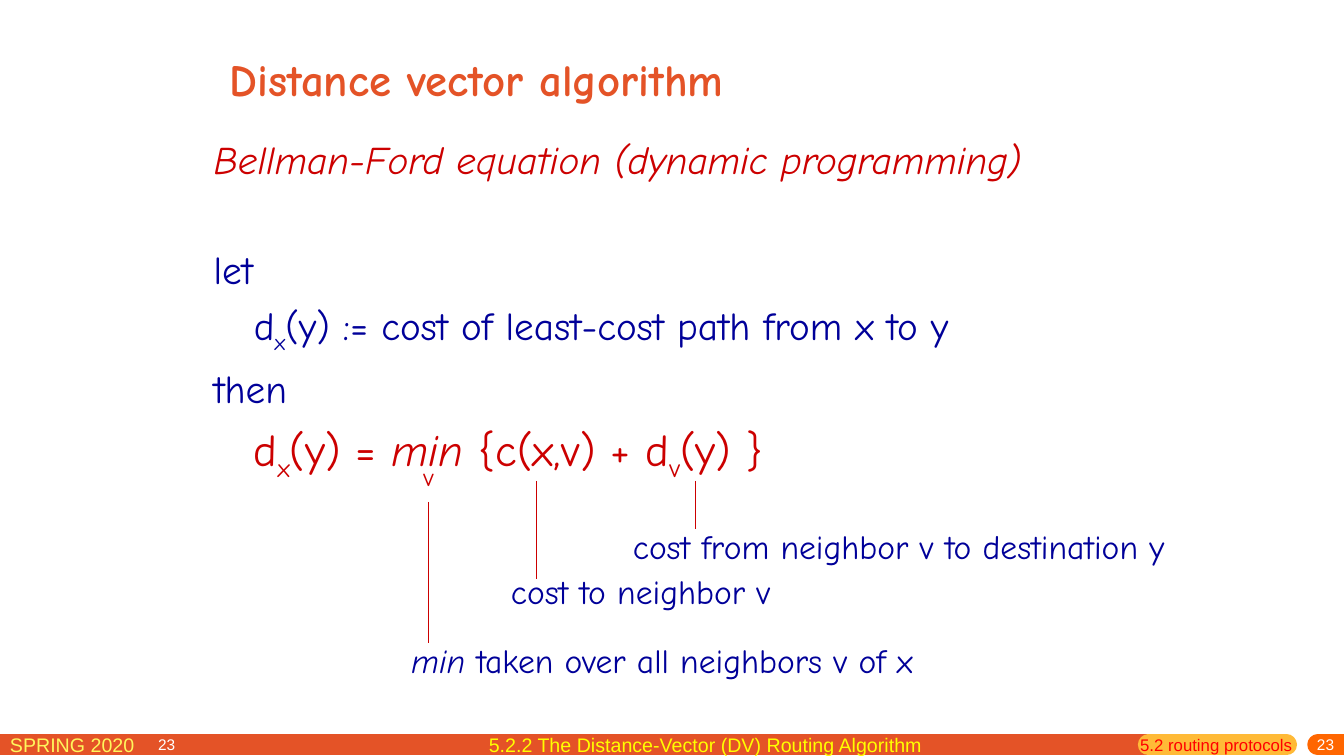
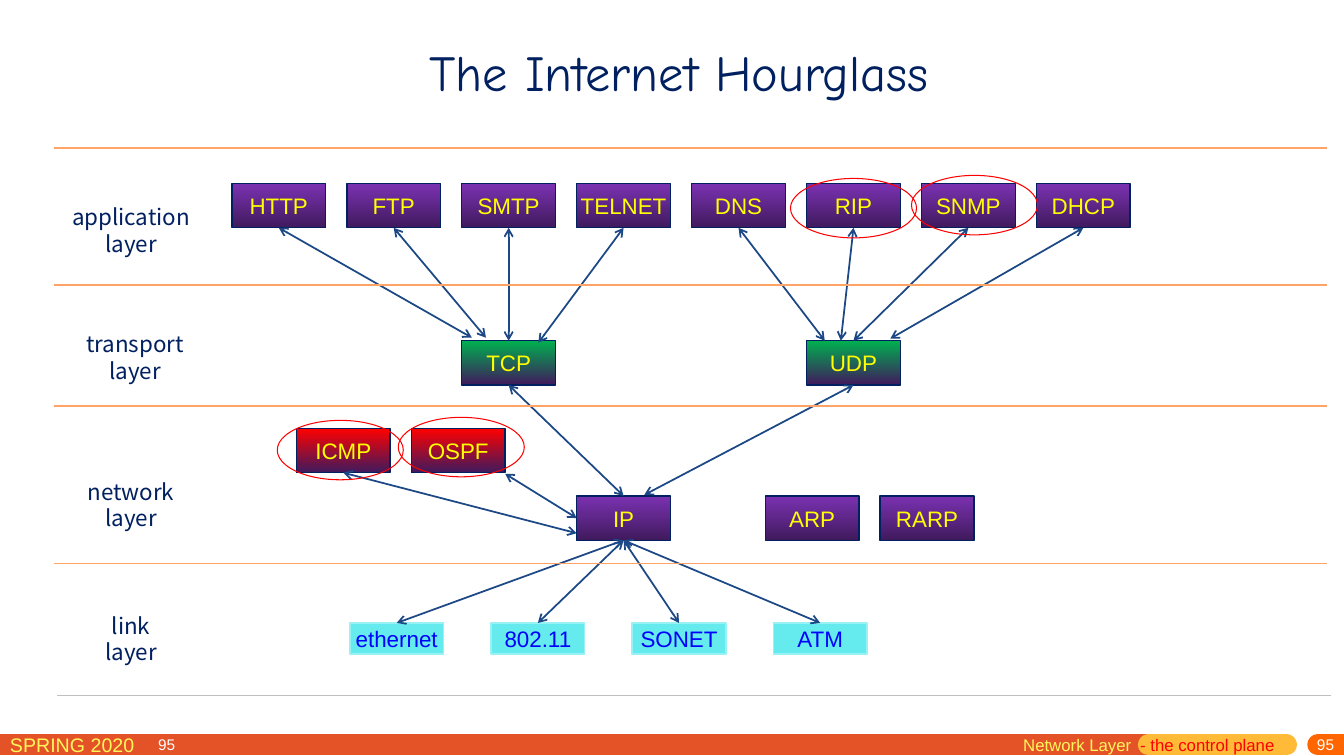
from dataclasses import dataclass, field
from typing import NamedTuple, Optional, Union

from lxml import etree
from pptx import Presentation
from pptx.dml.color import RGBColor
from pptx.enum.shapes import MSO_CONNECTOR as CONN, MSO_SHAPE as SHAPE
from pptx.enum.text import MSO_ANCHOR as ANCHOR, PP_ALIGN as ALIGN
from pptx.oxml.ns import qn
from pptx.util import Inches, Pt

COLORS = {
    "band": "E45327", "pill": "FFBA37", "number_pill": "FF6600",
    "term": "FFF65C", "yellow": "FFFF00", "white": "FFFFFF",
    "red": "FF0000", "crimson": "CC0000", "blue": "000099", "navy": "002060",
    "purple": "7B32B2", "green": "00B050", "dark": "401A5D",
    "arrow": "1C4885", "divider": "FFA366", "grey": "BFBFBF",
    "cyan": "65EAEE", "cyan_edge": "98F1F4", "link_text": "0000FF",
}
SANS, COMIC, NOTO = "Arial", "Comic Neue", "Noto Sans CJK SC"
TOP, LEFT, BOTTOM = 0, 1, 2
BOX_W, BOX_H, LINK_H = 0.93, 0.44, 0.31
COL_X, COL_STEP = 2.3, 1.14


class Run(NamedTuple):
    text: str
    fmt: dict = {}
    subscript: bool = False


@dataclass
class Para:
    runs: list[Run]
    before: float = 0
    indent: float = 0


@dataclass
class Label:
    """A text box; fmt holds the font values its runs start from."""
    at: tuple[float, float, float, float]
    text: Union[str, list[Para]]
    fmt: dict
    align: ALIGN = ALIGN.LEFT
    frame: dict = field(default_factory=dict)


@dataclass
class Box:
    name: str
    x: float
    y: float
    fill: str
    is_link: bool = False


class Site(NamedTuple):
    box: str
    side: int


class Point(NamedTuple):
    x: float
    y: float


def rgb(name: str) -> RGBColor:
    return RGBColor.from_string(COLORS[name])


def font(size: float, color: str, name: str = COMIC, **extra) -> dict:
    return {"size": Pt(size), "name": name, "color": color, **extra}


def set_font(r, fmt: dict) -> None:
    for key, value in fmt.items():
        if key == "color":
            r.font.color.rgb = rgb(value)
        else:
            setattr(r.font, key, value)


def fill_text(tf, text: Union[str, list[Para]], fmt: dict, align: ALIGN) -> None:
    if isinstance(text, str):
        text = [Para([Run(line)]) for line in text.split("\n")]
    for i, para in enumerate(text):
        p = tf.add_paragraph() if i else tf.paragraphs[0]
        p.alignment = align
        if para.before:
            p.space_before = Pt(para.before)
        if para.indent:
            p._p.get_or_add_pPr().set("marL", str(Inches(para.indent)))
        for run in para.runs:
            r = p.add_run()
            r.text = run.text
            set_font(r, {**fmt, **run.fmt})
            if run.subscript:
                r._r.get_or_add_rPr().set("baseline", "-25000")


def add_label(s, label: Label) -> None:
    tf = s.shapes.add_textbox(*map(Inches, label.at)).text_frame
    for key, value in {"word_wrap": True, **label.frame}.items():
        setattr(tf, key, value)
    fill_text(tf, label.text, label.fmt, label.align)


def add_line(s, start: Point, end: Point, color: str, width: float,
             round_cap: bool = False, arrows: bool = False):
    c = s.shapes.add_connector(CONN.STRAIGHT, *map(Inches, (*start, *end)))
    c.line.color.rgb = rgb(color)
    c.line.width = Pt(width)
    sp_pr = c._element.spPr
    ln = sp_pr.find(qn("a:ln"))
    if round_cap:
        ln.set("cap", "rnd")
    if arrows:
        for tag in ("a:headEnd", "a:tailEnd"):
            etree.SubElement(ln, qn(tag)).set("type", "arrow")
    etree.SubElement(sp_pr, qn("a:effectLst"))
    return c


def add_arrow(s, boxes: dict, start: Union[Site, Point], end: Union[Site, Point]) -> None:
    """Draw a two-headed arrow, joined to a box wherever an end is a Site."""
    ends = [e if isinstance(e, Point) else Point(0, 0) for e in (start, end)]
    c = add_line(s, *ends, "arrow", 1.25, arrows=True)
    for e, connect in ((start, c.begin_connect), (end, c.end_connect)):
        if isinstance(e, Site):
            connect(boxes[e.box], e.side)


def add_box(s, box: Box):
    sp = s.shapes.add_shape(SHAPE.RECTANGLE, Inches(box.x), Inches(box.y),
                            Inches(BOX_W), Inches(LINK_H if box.is_link else BOX_H))
    sp.shadow.inherit = False
    if box.is_link:
        sp.fill.solid()
        sp.fill.fore_color.rgb = rgb(box.fill)
    else:
        sp.fill.gradient()
        sp.fill.gradient_angle = 270
        for stop, color in zip(sp.fill.gradient_stops, (box.fill, "dark")):
            stop.color.rgb = rgb(color)
    sp.line.color.rgb = rgb("cyan_edge" if box.is_link else "navy")
    sp.line.width = Pt(1)
    tf = sp.text_frame
    tf.vertical_anchor = ANCHOR.MIDDLE
    for side in ("left", "top", "right", "bottom"):
        setattr(tf, f"margin_{side}", 0)
    color = "link_text" if box.is_link else "yellow"
    fill_text(tf, box.name, font(16, color, SANS), ALIGN.CENTER)
    return sp


def add_ring(s, x: float, y: float) -> None:
    sp = s.shapes.add_shape(SHAPE.OVAL, *map(Inches, (x, y, 1.25, 0.59)))
    sp.shadow.inherit = False
    sp.fill.background()
    sp.line.color.rgb = rgb("red")
    sp.line.width = Pt(0.75)


def new_slide(prs, number: int, section: str):
    """Add a slide with the footer band, term, page numbers and section."""
    s = prs.slides.add_slide(prs.slide_layouts[6])
    for x1, x2, color in ((0, 11.39, "band"), (11.39, 12.76, "pill"),
                          (13.07, 13.33, "number_pill")):
        add_line(s, Point(x1, 7.39), Point(x2, 7.39), color, 15,
                 round_cap=color != "band")
    add_label(s, Label((0, 7.22, 2.29, 0.31), "SPRING 2020", font(14, "term", SANS)))
    frame = {"vertical_anchor": ANCHOR.MIDDLE, "margin_top": 0, "margin_bottom": Inches(0.05)}
    for x, align in ((1.47, ALIGN.LEFT), (10.74, ALIGN.RIGHT)):
        add_label(s, Label((x, 7.32, 2.59, 0.18), str(number),
                           font(11, "white", SANS), align, frame))
    add_label(s, Label((11.21, 7.24, 2, 0.31), section, font(12, "red", SANS)))
    return s


def distance_vector_slide(prs) -> None:
    s = new_slide(prs, 23, "5.2 routing protocols")
    add_label(s, Label((2.18, 0.32, 8.5, 0.92), "Distance vector algorithm",
                       font(32, "band", bold=True),
                       frame={"vertical_anchor": ANCHOR.MIDDLE}))
    equation = {"size": Pt(32), "color": "crimson"}
    body = [
        Para([Run("Bellman-Ford equation (dynamic programming)",
                  {"color": "crimson", "italic": True})], 6.5),
        Para([Run("let")], 45),
        Para([Run("d"), Run("x", subscript=True),
              Run("(y) := cost of least-cost path from x to y")], 6.5, 0.4),
        Para([Run("then")], 6.5),
        Para([Run("d", equation), Run("x", equation, True), Run("(y) = ", equation),
              Run("min", {**equation, "italic": True}), Run(" {c(x,v) + d", equation),
              Run("v", equation, True), Run("(y) }", equation)], 7.4, 0.4),
    ]
    add_label(s, Label((2.02, 1.29, 8.7, 5.08), body, font(28, "blue")))
    note = font(24, "blue")
    minimum = [Para([Run("min", {"italic": True}), Run(" taken over all neighbors v of x")])]
    for label in (
        Label((4.1, 4.53, 0.4, 0.4), "v", font(18, "crimson")),
        Label((4.97, 5.61, 3.04, 0.5), "cost to neighbor v", note),
        Label((3.98, 6.3, 5.59, 0.5), minimum, note),
        Label((6.18, 5.17, 6.04, 0.5), "cost from neighbor v to destination y", note),
        Label((4.75, 7.22, 4.6, 0.34), "5.2.2 The Distance-Vector (DV) Routing Algorithm",
              font(14, "yellow", SANS)),
    ):
        add_label(s, label)
    for x, top, bottom in ((4.25, 4.98, 6.38), (5.32, 4.77, 5.74), (6.9, 4.77, 5.25)):
        add_line(s, Point(x, top), Point(x, bottom), "crimson", 0.75)


def column(i: int, left: float = COL_X) -> float:
    return left + i * COL_STEP


def hourglass_slide(prs) -> None:
    s = new_slide(prs, 95, "- the control plane")
    add_label(s, Label((10.05, 7.24, 1.3, 0.31), "Network Layer", font(12, "term", SANS)))
    add_label(s, Label((3.64, 0.36, 6.19, 0.71), "The Internet Hourglass",
                       font(36, "navy"), ALIGN.CENTER))

    apps = ("HTTP", "FTP", "SMTP", "TELNET", "DNS", "RIP", "SNMP", "DHCP")
    links = ("ethernet", "802.11", "SONET", "ATM")
    specs = [Box(name, column(i), 1.82, "purple") for i, name in enumerate(apps)]
    specs += [Box("TCP", column(2), 3.38, "green"), Box("UDP", column(5), 3.38, "green"),
              Box("IP", column(3), 4.92, "purple")]
    for left, y, fill, names in ((2.94, 4.25, "red", ("ICMP", "OSPF")),
                                 (7.59, 4.92, "purple", ("ARP", "RARP"))):
        specs += [Box(name, column(i, left), y, fill) for i, name in enumerate(names)]
    specs += [Box(name, 3.47 + 1.4 * i, 6.18, "cyan", True) for i, name in enumerate(links)]
    boxes = {box.name: add_box(s, box) for box in specs}

    app_ends = (Point(4.68, 3.35), Point(4.82, 3.35), Site("TCP", TOP), Point(5.34, 3.4),
                Point(8.18, 3.38), Point(8.34, 3.38), Site("UDP", TOP), Point(8.83, 3.36))
    arrows = [(Site(name, BOTTOM), end) for name, end in zip(apps, app_ends)]
    arrows += [
        (Site("TCP", BOTTOM), Site("IP", TOP)),
        (Site("UDP", BOTTOM), Point(6.39, 4.91)),
        (Point(5.01, 4.7), Site("IP", LEFT)),
        (Site("ICMP", BOTTOM), Point(5.72, 5.29)),
    ]
    arrows += [(Site(name, TOP), Site("IP", BOTTOM)) for name in links]
    for start, end in arrows:
        add_arrow(s, boxes, start, end)

    for y in (1.47, 2.83, 4.03, 5.59):
        add_line(s, Point(0.54, y), Point(13.16, y), "divider", 1.25)
    add_line(s, Point(0.57, 6.9), Point(13.2, 6.9), "grey", 0.75)
    for x, y, w, text in ((0.52, 1.97, 1.56, "application layer"),
                          (0.45, 3.23, 1.78, "transport\nlayer"),
                          (0.52, 4.69, 1.56, "network\nlayer"),
                          (0.52, 6.02, 1.56, "link\nlayer")):
        add_label(s, Label((x, y, w, 0.64), text, font(16, "navy", NOTO), ALIGN.CENTER))
    for x, y in ((9.04, 1.74), (3.95, 4.14), (2.75, 4.17), (7.84, 1.77)):
        add_ring(s, x, y)


def main() -> None:
    prs = Presentation()
    prs.slide_width, prs.slide_height = Inches(13.33), Inches(7.5)
    distance_vector_slide(prs)
    hourglass_slide(prs)
    prs.save("out.pptx")


if __name__ == "__main__":
    main()
